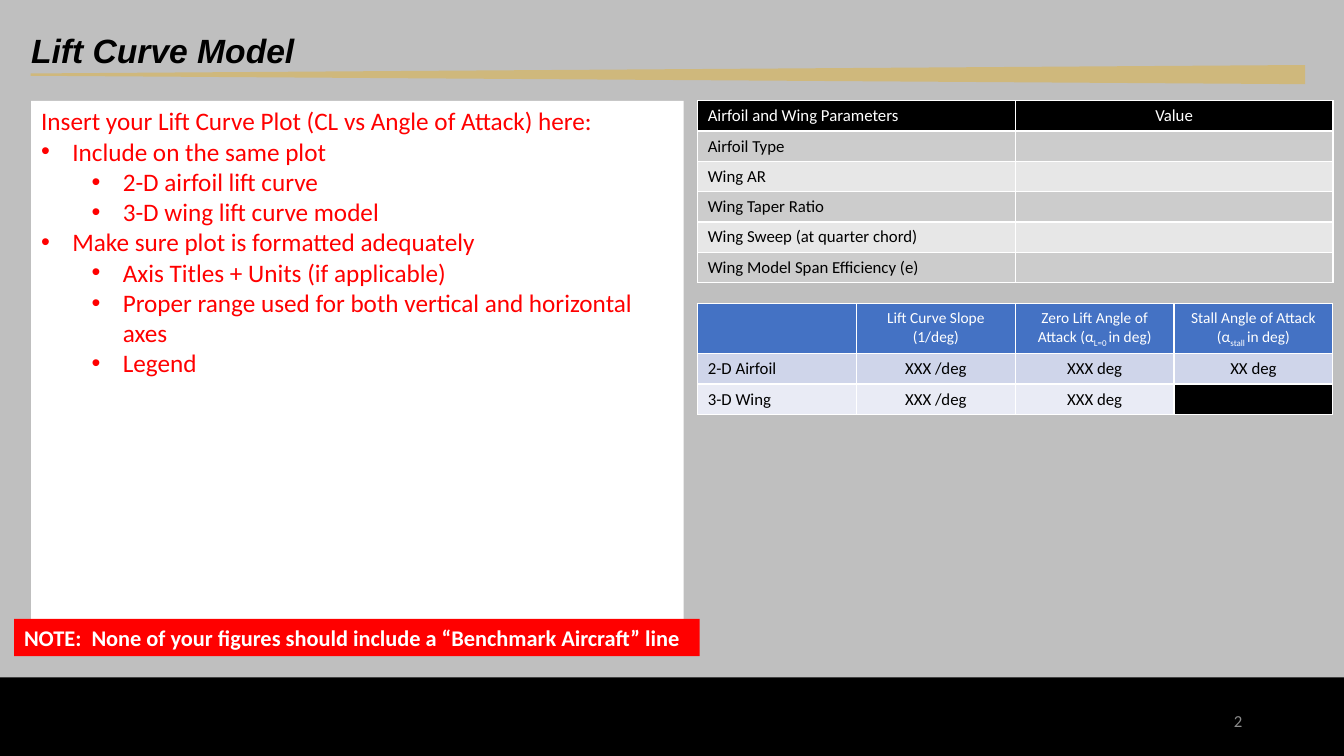
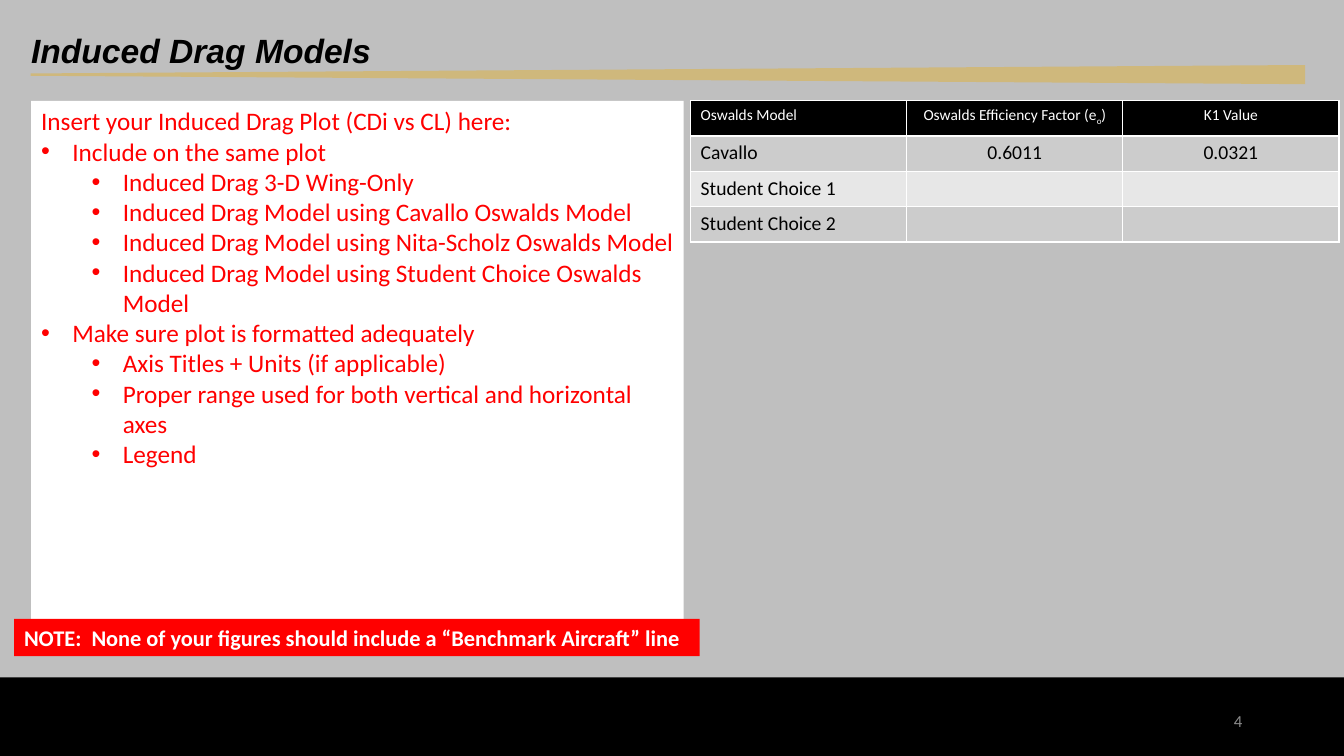
"""Builds the lift curve and induced drag slides."""
import lxml.etree
import pptx
import pptx.dml.color
import pptx.enum.shapes
import pptx.enum.text
import pptx.oxml.ns
import pptx.util

PX = 9144
WIDE, HIGH = 1333, 750
HUES = {
    "back": "BFBFBF", "gold": "CFB87C", "black": "000000", "white": "FFFFFF",
    "red": "FF0000", "gray": "8C8C8C", "blue": "4472C4",
    "dark": "CCCCCC", "pale": "E7E7E7", "sky": "CFD5EA", "mist": "E9EBF5",
}
KIND = pptx.enum.shapes.MSO_SHAPE
ALIGN = pptx.enum.text.PP_ALIGN
ANCHOR = pptx.enum.text.MSO_ANCHOR

STYLES = {
    "title": {"name": "Arial", "size": 24, "bold": True, "italic": True, "hue": "black"},
    "plot": {"name": "Calibri", "size": 18, "hue": "red"},
    "note": {"name": "Calibri", "size": 16, "bold": True, "hue": "white"},
    "page": {"name": "Calibri", "size": 12, "hue": "gray"},
}
NOTE = "NOTE:  None of your figures should include a “Benchmark Aircraft” line"
FORMAT = [
    (1, "Make sure plot is formatted adequately"),
    (2, "Axis Titles + Units (if applicable)"),
    (2, "Proper range used for both vertical and horizontal axes"),
    (2, "Legend"),
]
# Text between bars is subscript; None marks a blacked-out cell.
SLIDES = [
    {
        "title": "Lift Curve Model",
        "page": "2",
        "plot": [
            (0, "Insert your Lift Curve Plot (CL vs Angle of Attack) here:"),
            (1, "Include on the same plot"),
            (2, "2-D airfoil lift curve"),
            (2, "3-D wing lift curve model"),
        ],
        "tables": [
            {
                "box": (692, 100, 630), "rows": (30, 30), "sizes": (12, 12),
                "head": "black", "bands": ("dark", "pale"),
                "cells": [
                    ("Airfoil and Wing Parameters", "Value"),
                    ("Airfoil Type", ""),
                    ("Wing AR", ""),
                    ("Wing Taper Ratio", ""),
                    ("Wing Sweep (at quarter chord)", ""),
                    ("Wing Model Span Efficiency (e)", ""),
                ],
            },
            {
                "box": (692, 301, 630), "rows": (50, 30), "sizes": (11, 12),
                "head": "blue", "bands": ("sky", "mist"),
                "cells": [
                    ("", "Lift Curve Slope (1/deg)",
                     "Zero Lift Angle of Attack (α|L=0 |in deg)",
                     "Stall Angle of Attack (α|stall |in deg)"),
                    ("2-D Airfoil", "XXX /deg", "XXX deg", "XX deg"),
                    ("3-D Wing", "XXX /deg", "XXX deg", None),
                ],
            },
        ],
    },
    {
        "title": "Induced Drag Models",
        "page": "4",
        "plot": [
            (0, "Insert your Induced Drag Plot (CDi vs CL) here:"),
            (1, "Include on the same plot"),
            (2, "Induced Drag 3-D Wing-Only"),
            (2, "Induced Drag Model using Cavallo Oswalds Model"),
            (2, "Induced Drag Model using Nita-Scholz Oswalds Model"),
            (2, "Induced Drag Model using Student Choice Oswalds Model"),
        ],
        "tables": [
            {
                "box": (685, 100, 643), "rows": (35, 35), "sizes": (11, 14),
                "head": "black", "bands": ("dark", "pale"),
                "cells": [
                    ("Oswalds Model", "Oswalds Efficiency Factor (e|o|)", "K1 Value"),
                    ("Cavallo", "0.6011", "0.0321"),
                    ("Student Choice 1", "", ""),
                    ("Student Choice 2", "", ""),
                ],
            },
        ],
    },
]


def emu(*nums):
    return [pptx.util.Emu(round(num * PX)) for num in nums]


def tint(name):
    return pptx.dml.color.RGBColor.from_string(HUES[name])


def paint(fill, hue):
    fill.solid()
    fill.fore_color.rgb = tint(hue)


def node(parent, tag, **attrs):
    return lxml.etree.SubElement(parent, pptx.oxml.ns.qn(tag), attrs)


def apply(item, values):
    for key, value in values.items():
        setattr(item, key, value)


def write(para, text, style):
    for spot, piece in enumerate(text.split("|")):
        run = para.add_run()
        run.text = piece
        for key, value in style.items():
            if key == "hue":
                run.font.color.rgb = tint(value)
            else:
                setattr(run.font, key, pptx.util.Pt(value) if key == "size" else value)
        if spot % 2:
            run.font._element.set("baseline", "-25000")


def block(slide, box, hue, kind=KIND.RECTANGLE):
    shape = slide.shapes.add_shape(kind, *emu(*box))
    shape.shadow.inherit = False
    paint(shape.fill, hue)
    shape.line.fill.background()
    return shape


def label(slide, box, text, style, **look):
    frame = slide.shapes.add_textbox(*emu(*box)).text_frame
    apply(frame, {"word_wrap": True, "vertical_anchor": ANCHOR.MIDDLE})
    para = frame.paragraphs[0]
    apply(para, look)
    write(para, text, STYLES[style])


def base(deck, data):
    slide = deck.slides.add_slide(deck.slide_layouts[6])
    paint(slide.background.fill, "back")
    wedge = block(slide, (653, -558, 19, 1264), "gold", KIND.TRAPEZOID)
    wedge.adjustments[0] = 0.44
    wedge.rotation = 270
    block(slide, (0, 672, WIDE, 78), "black")
    label(slide, (21, 13, 1221, 78), data["title"], "title", line_spacing=0.9)
    label(slide, (942, 695, 300, 40), data["page"], "page", alignment=ALIGN.RIGHT)
    return slide


def plot(slide, lines):
    frame = block(slide, (31, 100, 647, 542), "white").text_frame
    apply(frame, {"word_wrap": True, "vertical_anchor": ANCHOR.TOP})
    for spot, (level, text) in enumerate(lines):
        para = frame.add_paragraph() if spot else frame.paragraphs[0]
        para.alignment = ALIGN.LEFT
        if level:
            props = para._p.get_or_add_pPr()
            left, hang = emu(50 * level - 19, -31)
            props.set("marL", str(left))
            props.set("indent", str(hang))
            node(props, "a:buFont", typeface="Arial")
            node(props, "a:buChar", char="•")
        write(para, text, STYLES["plot"])


def note(slide):
    frame = block(slide, (14, 614, 680, 37), "red").text_frame
    apply(frame, {"word_wrap": False, "vertical_anchor": ANCHOR.TOP})
    para = frame.paragraphs[0]
    para.alignment = ALIGN.LEFT
    write(para, NOTE, STYLES["note"])


def edge(cell):
    props = cell._tc.get_or_add_tcPr()
    for spot, side in enumerate(("a:lnL", "a:lnR", "a:lnT", "a:lnB")):
        line = node(props, side, w="12700")
        node(node(line, "a:solidFill"), "a:srgbClr", val=HUES["white"])
        props.insert(spot, line)


def grid(slide, data):
    cells = data["cells"]
    left, top, width = data["box"]
    first, rest = data["rows"]
    tall = first + rest * (len(cells) - 1)
    count = len(cells[0])
    table = slide.shapes.add_table(len(cells), count, *emu(left, top, width, tall)).table
    for col in table.columns:
        col.width = emu(width / count)[0]
    for i, row in enumerate(cells):
        table.rows[i].height = emu(rest if i else first)[0]
        hue = data["bands"][(i - 1) % 2] if i else data["head"]
        size = data["sizes"][min(i, 1)]
        style = {"name": "Calibri", "size": size, "bold": False,
                 "hue": "black" if i else "white"}
        for j, text in enumerate(row):
            cell = table.cell(i, j)
            paint(cell.fill, "black" if text is None else hue)
            edge(cell)
            para = cell.text_frame.paragraphs[0]
            para.alignment = ALIGN.CENTER if j else ALIGN.LEFT
            if text:
                write(para, text, style)
            else:
                node(para._p, "a:endParaRPr", sz=str(size * 100))


def main():
    deck = pptx.Presentation()
    deck.slide_width, deck.slide_height = emu(WIDE, HIGH)
    for data in SLIDES:
        slide = base(deck, data)
        plot(slide, data["plot"] + FORMAT)
        for table in data["tables"]:
            grid(slide, table)
        note(slide)
    deck.save("out.pptx")


if __name__ == "__main__":
    main()
